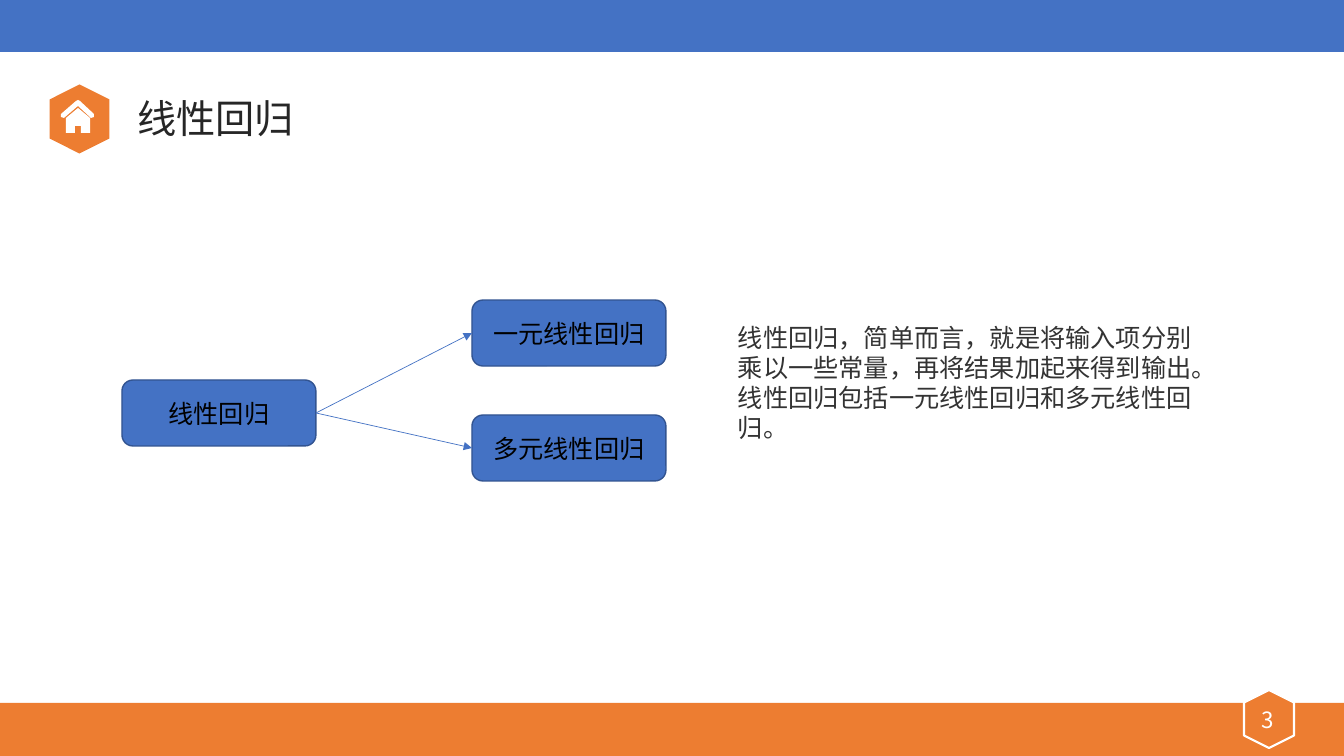
import pptx
import pptx.util
import pptx.dml.color
import pptx.enum.shapes
import pptx.enum.text
import pptx.oxml
import pptx.oxml.ns

Kind = pptx.enum.shapes.MSO_SHAPE
Align = pptx.enum.text.PP_ALIGN
Anchor = pptx.enum.text.MSO_ANCHOR
SCALE = 914400 / 100.8
BLUE, ORANGE, WHITE = "4472C4", "ED7D31", "FFFFFF"
SANS = "Noto Sans CJK SC"


def px(*sizes):
    return [pptx.util.Emu(round(size * SCALE)) for size in sizes]


def color(code):
    return pptx.dml.color.RGBColor.from_string(code)


def add_xml(parent, tag):
    node = pptx.oxml.parse_xml(f"<a:{tag} {pptx.oxml.ns.nsdecls('a')}/>")
    parent.append(node)
    return node


class Deck:
    def __init__(self, width, height):
        self.file = pptx.Presentation()
        self.file.slide_width, self.file.slide_height = px(width, height)
        self.slide = self.file.slides.add_slide(self.file.slide_layouts[5])
        self.shapes = self.slide.shapes

    def paint(self, shape, fill, line=None, width=1):
        shape.shadow.inherit = False
        shape.fill.solid()
        shape.fill.fore_color.rgb = color(fill)
        if line:
            shape.line.color.rgb = color(line)
            shape.line.width = pptx.util.Pt(width)
        else:
            shape.line.fill.background()
        return shape

    def shape(self, kind, box, fill, line=None, width=1, turn=0):
        shape = self.shapes.add_shape(kind, *px(*box))
        shape.rotation = turn
        return self.paint(shape, fill, line, width)

    def outline(self, points, fill):
        pen = self.shapes.build_freeform(*points[0], scale=SCALE)
        pen.add_line_segments(points[1:], close=True)
        return self.paint(pen.convert_to_shape(), fill)

    def label(self, shape, text, size, ink, align=Align.LEFT,
              anchor=Anchor.TOP, font=SANS):
        frame = shape.text_frame
        frame.word_wrap = True
        frame.auto_size = pptx.enum.text.MSO_AUTO_SIZE.NONE
        frame.vertical_anchor = anchor
        para = frame.paragraphs[0]
        para.text = text
        para.alignment = align
        para.font.name = font
        para.font.size = pptx.util.Pt(size)
        para.font.color.rgb = color(ink)
        return para

    def title(self, text, box):
        shape = self.shapes.title
        shape.left, shape.top, shape.width, shape.height = px(*box)
        para = self.label(shape, text, 28, "262626", font="Arial")
        para.line_spacing = 0.9

    def text(self, text, box, size, ink, **style):
        self.label(self.shapes.add_textbox(*px(*box)), text, size, ink, **style)

    def node(self, text, left, top):
        box = self.shape(Kind.ROUNDED_RECTANGLE, (left, top, 194, 66),
                         BLUE, "325491")
        self.label(box, text, 18, "000000", Align.CENTER, Anchor.MIDDLE)
        return box

    def arrow(self, start, end):
        link = self.shapes.add_connector(
            pptx.enum.shapes.MSO_CONNECTOR.STRAIGHT, 0, 0, 0, 0)
        link.begin_connect(start, 3)
        link.end_connect(end, 1)
        link.line.color.rgb = color(BLUE)
        link.line.width = pptx.util.Pt(0.5)
        props = link._element.spPr
        add_xml(props.get_or_add_ln(), "tailEnd").set("type", "triangle")
        add_xml(props, "effectLst")


deck = Deck(1344, 756)
deck.shape(Kind.RECTANGLE, (0, 703, 1344, 53), ORANGE)
deck.shape(Kind.RECTANGLE, (0, 0, 1344, 52), BLUE)
deck.shape(Kind.HEXAGON, (1240, 694, 58, 50), ORANGE, WHITE, 1.5, turn=90)
deck.shape(Kind.HEXAGON, (45, 89, 69, 60), ORANGE, turn=90)

house = [(66, 118), (66, 133), (75, 133), (75, 126), (81, 126), (81, 133),
         (90, 133), (90, 118), (78, 108)]
roof = [(94, 114), (80, 101), (78, 100), (76, 101), (61, 114), (61, 117),
        (64, 118), (78, 106), (91, 118), (94, 117)]
for points in (house, roof):
    deck.outline(points, WHITE)

deck.title("线性回归", (127, 95, 817, 64))
deck.text("线性回归，简单而言，就是将输入项分别乘以一些常量，再将结果加起来得到输出。"
          "线性回归包括一元线性回归和多元线性回归。",
          (728, 317, 494, 132), 18, "333333")
deck.text("3", (1228, 700, 79, 40), 16, WHITE,
          align=Align.CENTER, anchor=Anchor.MIDDLE)

root = deck.node("线性回归", 122, 380)
for name, top in (("一元线性回归", 300), ("多元线性回归", 415)):
    deck.arrow(root, deck.node(name, 472, top))

deck.file.save("out.pptx")
